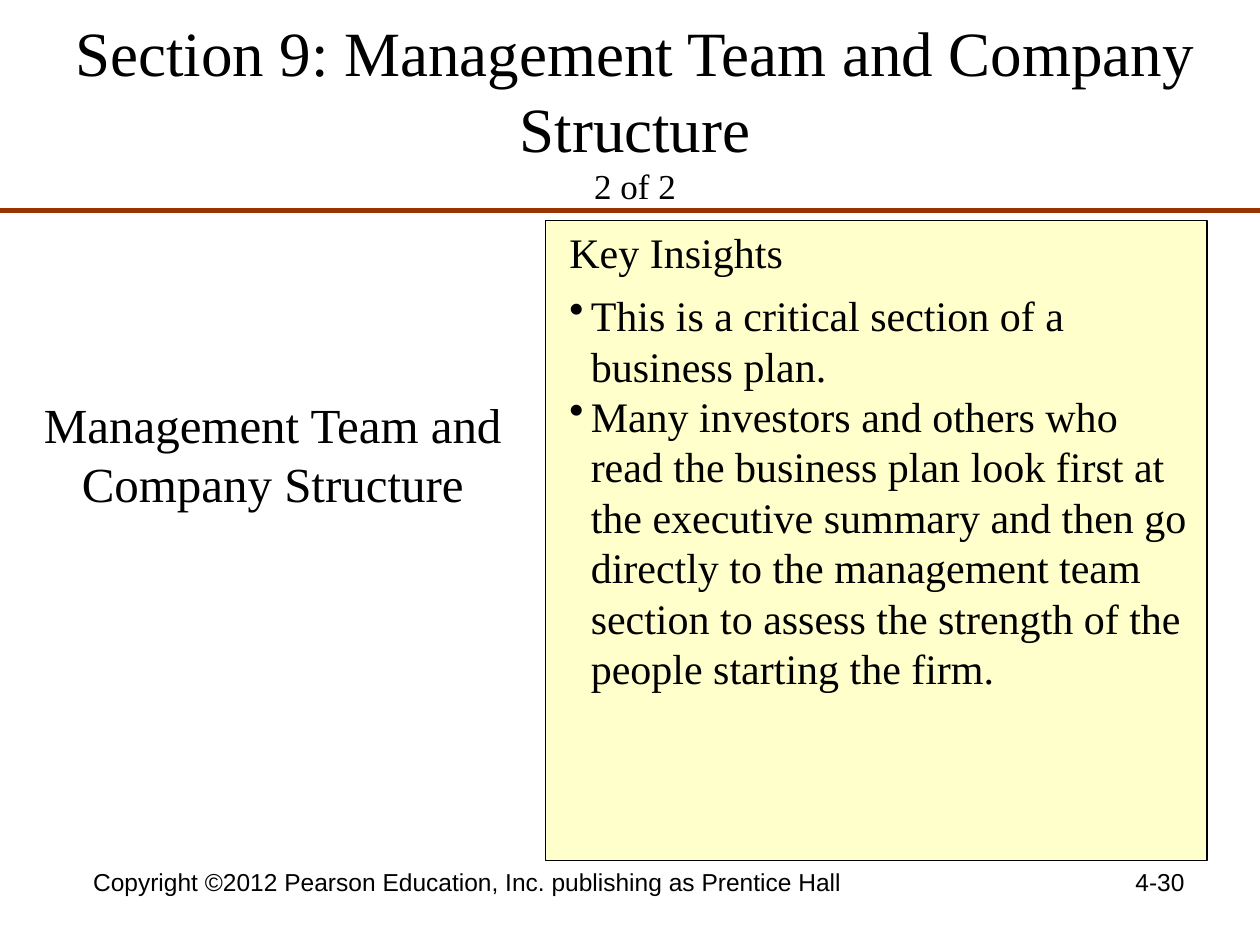
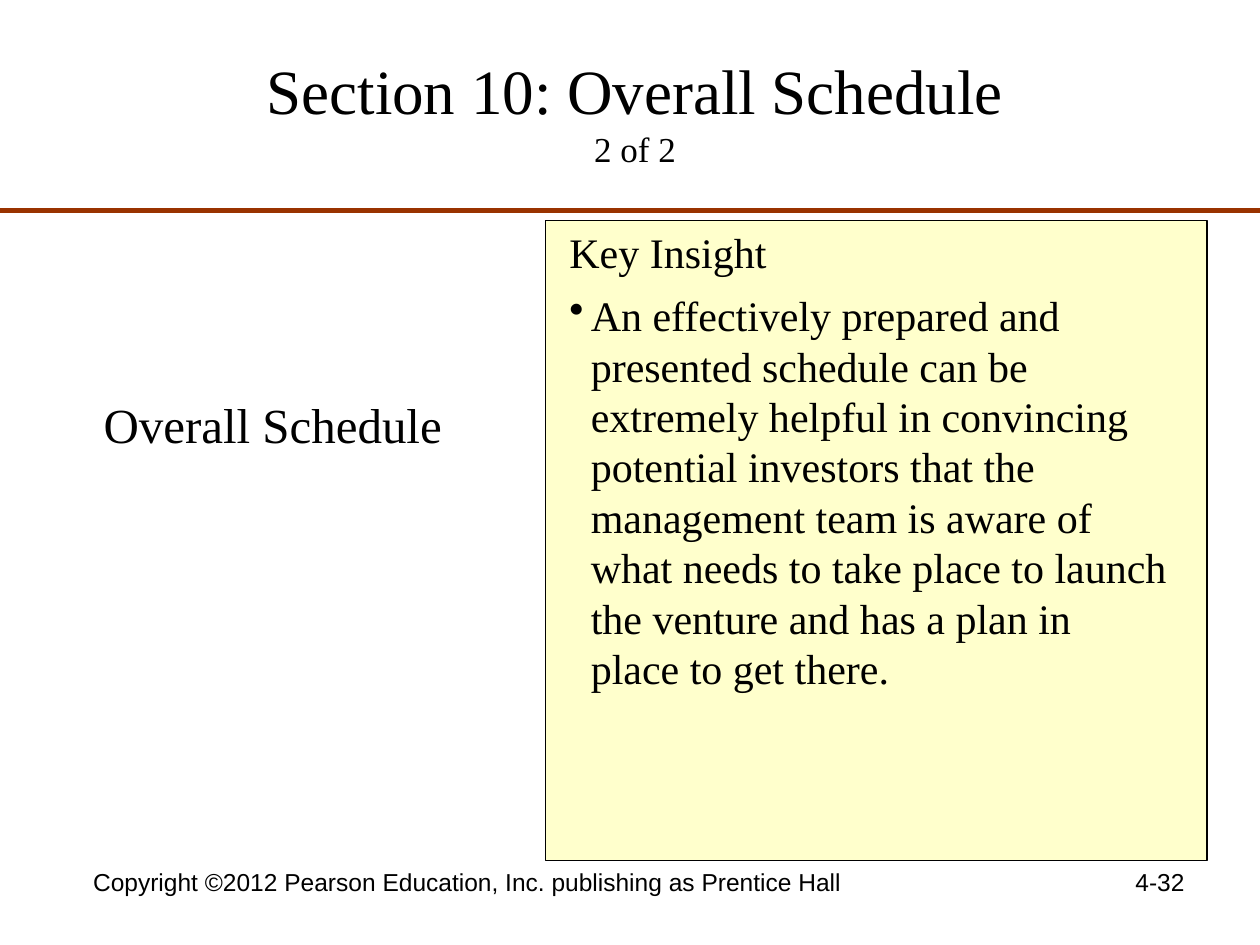
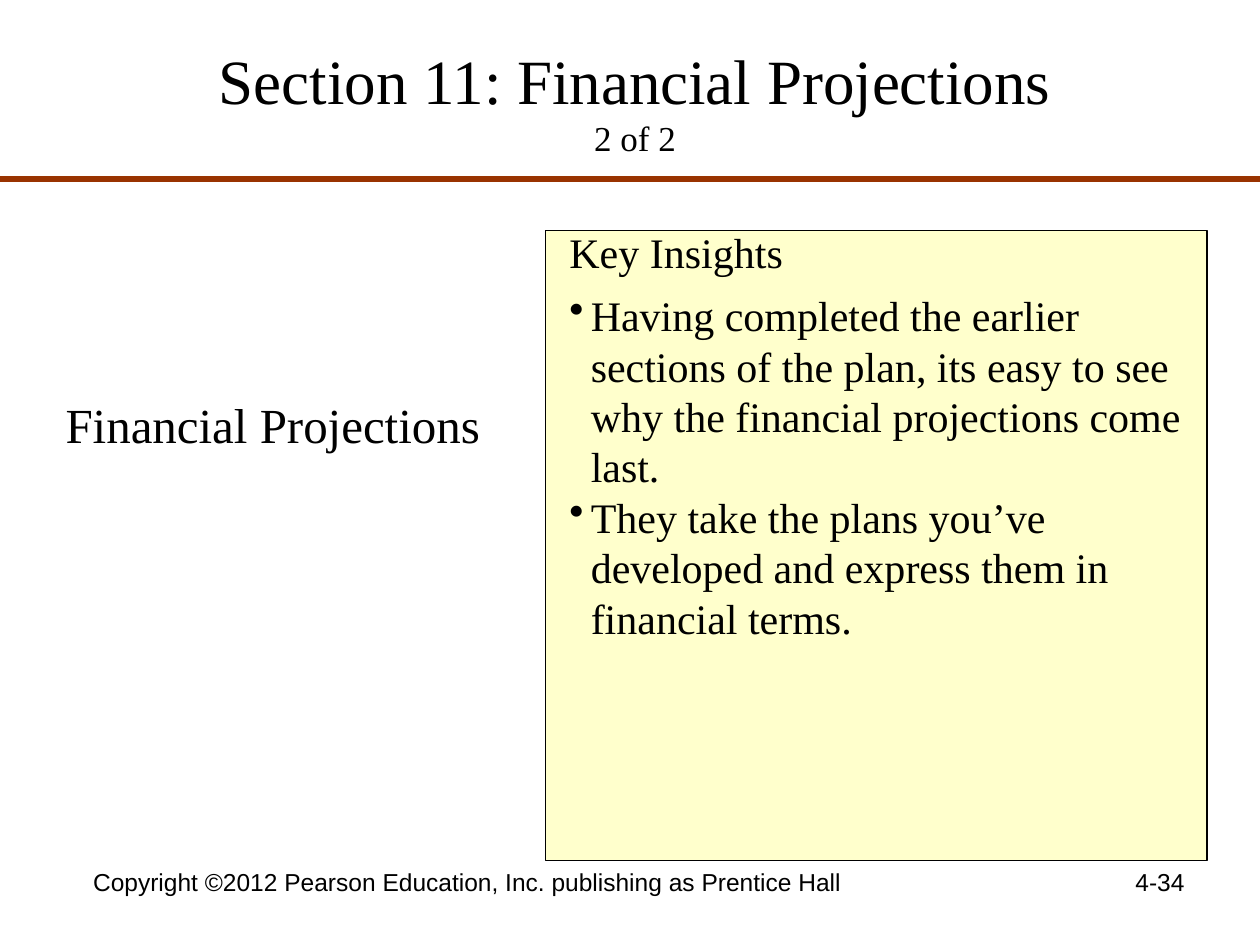
from lxml.etree import SubElement
from pptx import Presentation
from pptx.dml.color import RGBColor
from pptx.enum.shapes import MSO_CONNECTOR, MSO_SHAPE
from pptx.enum.text import MSO_ANCHOR, MSO_AUTO_SIZE, PP_ALIGN
from pptx.oxml.ns import qn
from pptx.util import Inches, Pt

BLACK = RGBColor(0x00, 0x00, 0x00)
RUST = RGBColor(0x99, 0x33, 0x00)
CREAM = RGBColor(0xFF, 0xFF, 0xCC)
SERIF = "Times New Roman"
SANS = "Arial"
CREDIT = "Copyright ©2012 Pearson Education, Inc. publishing as Prentice Hall"
FLOOR = 6.83
HANG = 0.17

PAGES = [
    dict(title="Section 9: Management Team and Company Structure",
         topic="Management Team and Company Structure",
         head="Key Insights", number="4-30",
         points=[
             ["This is a critical section of a", "business plan."],
             ["Many investors and others who",
              "read the business plan look first at",
              "the executive summary and then go",
              "directly to the management team",
              "section to assess the strength of the",
              "people starting the firm."],
         ]),
    dict(title="Section 10: Overall Schedule", topic="Overall Schedule",
         head="Key Insight", number="4-32",
         points=[
             ["An effectively prepared and",
              "presented schedule can be",
              "extremely helpful in convincing",
              "potential investors that the",
              "management team is aware of",
              "what needs to take place to launch",
              "the venture and has a plan in",
              "place to get there."],
         ]),
    dict(title="Section 11: Financial Projections",
         topic="Financial Projections",
         head="Key Insights", number="4-34",
         title_top=0.17, rule_top=1.42, panel_top=1.83,
         points=[
             ["Having completed the earlier",
              "sections of the plan, its easy to see",
              "why the financial projections come",
              "last."],
             ["They take the plans you’ve",
              "developed and express them in",
              "financial terms."],
         ]),
]


def set_font(font, size, name=SERIF):
    """Apply size, typeface and black to a font."""
    font.size, font.name = Pt(size), name
    font.color.rgb = BLACK


def add_title(slide, text, top):
    """Fill the title with a heading and a small part count."""
    title = slide.shapes.title
    title.left, title.top = Inches(0.33), Inches(top)
    title.width, title.height = Inches(9.42), Inches(1.25)
    frame = title.text_frame
    frame.auto_size = MSO_AUTO_SIZE.NONE
    frame.vertical_anchor = MSO_ANCHOR.MIDDLE
    frame.margin_left = frame.margin_right = 0
    frame.margin_top = frame.margin_bottom = 0
    para = frame.paragraphs[0]
    para.alignment = PP_ALIGN.CENTER
    head = para.add_run()
    head.text = text
    set_font(head.font, 36)
    para.add_line_break()
    part = para.add_run()
    part.text = "2 of 2"
    set_font(part.font, 20)


def add_rule(slide, top):
    """Draw the full-width rule below the title."""
    rule = slide.shapes.add_connector(
        MSO_CONNECTOR.STRAIGHT, 0, Inches(top), Inches(10), Inches(top))
    rule.line.color.rgb = RUST
    rule.line.width = Pt(3)
    SubElement(rule._element.spPr, qn("a:effectLst"))


def add_panel(slide, top):
    """Draw the cream panel from its top down to the footer."""
    panel = slide.shapes.add_shape(
        MSO_SHAPE.RECTANGLE, Inches(4.33), Inches(top),
        Inches(5.25), Inches(FLOOR - top))
    panel.shadow.inherit = False
    panel.fill.solid()
    panel.fill.fore_color.rgb = CREAM
    panel.line.color.rgb = BLACK
    panel.line.width = Pt(0.75)


def add_text(slide, text, box, size, name=SERIF, align=PP_ALIGN.LEFT):
    """Add a wrapped text box and return its frame."""
    frame = slide.shapes.add_textbox(*map(Inches, box)).text_frame
    frame.word_wrap = True
    frame.text = text
    for para in frame.paragraphs:
        para.alignment = align
        set_font(para.font, size, name)
    return frame


def add_points(slide, points):
    """Add the hanging bullet points, keeping their line breaks."""
    lines = sum(map(len, points))
    text = "\n".join("\v".join(point) for point in points)
    frame = add_text(slide, text, (4.42, 2.25, 5.58, 0.1 + 0.4 * lines), 24)
    for para in frame.paragraphs:
        props = para._p.get_or_add_pPr()
        props.set("marL", str(Inches(HANG)))
        props.set("indent", str(-Inches(HANG)))
        mark = props.makeelement(qn("a:buChar"), {"char": "•"})
        props.insert(0, mark)


def add_footer(slide, number):
    """Add the copyright line and the page number."""
    add_text(slide, CREDIT, (0.5, FLOOR, 6.42, 0.52), 14, SANS,
             PP_ALIGN.CENTER)
    add_text(slide, number, (7.17, FLOOR, 2.33, 0.52), 14, SANS,
             PP_ALIGN.RIGHT)


def add_page(deck, page):
    """Build one section slide."""
    slide = deck.slides.add_slide(deck.slide_layouts[5])
    add_title(slide, page["title"], page.get("title_top", 0.25))
    add_rule(slide, page.get("rule_top", 1.67))
    add_text(slide, page["topic"], (0, 3.08, 4.33, 1.04), 28,
             align=PP_ALIGN.CENTER)
    add_panel(slide, page.get("panel_top", 1.75))
    add_text(slide, page["head"], (4.42, 1.75, 5.08, 0.5), 24)
    add_points(slide, page["points"])
    add_footer(slide, page["number"])


def main():
    """Build and save the deck."""
    deck = Presentation()
    deck.slide_width, deck.slide_height = Inches(10), Inches(7.5)
    for page in PAGES:
        add_page(deck, page)
    deck.save("out.pptx")


if __name__ == "__main__":
    main()
